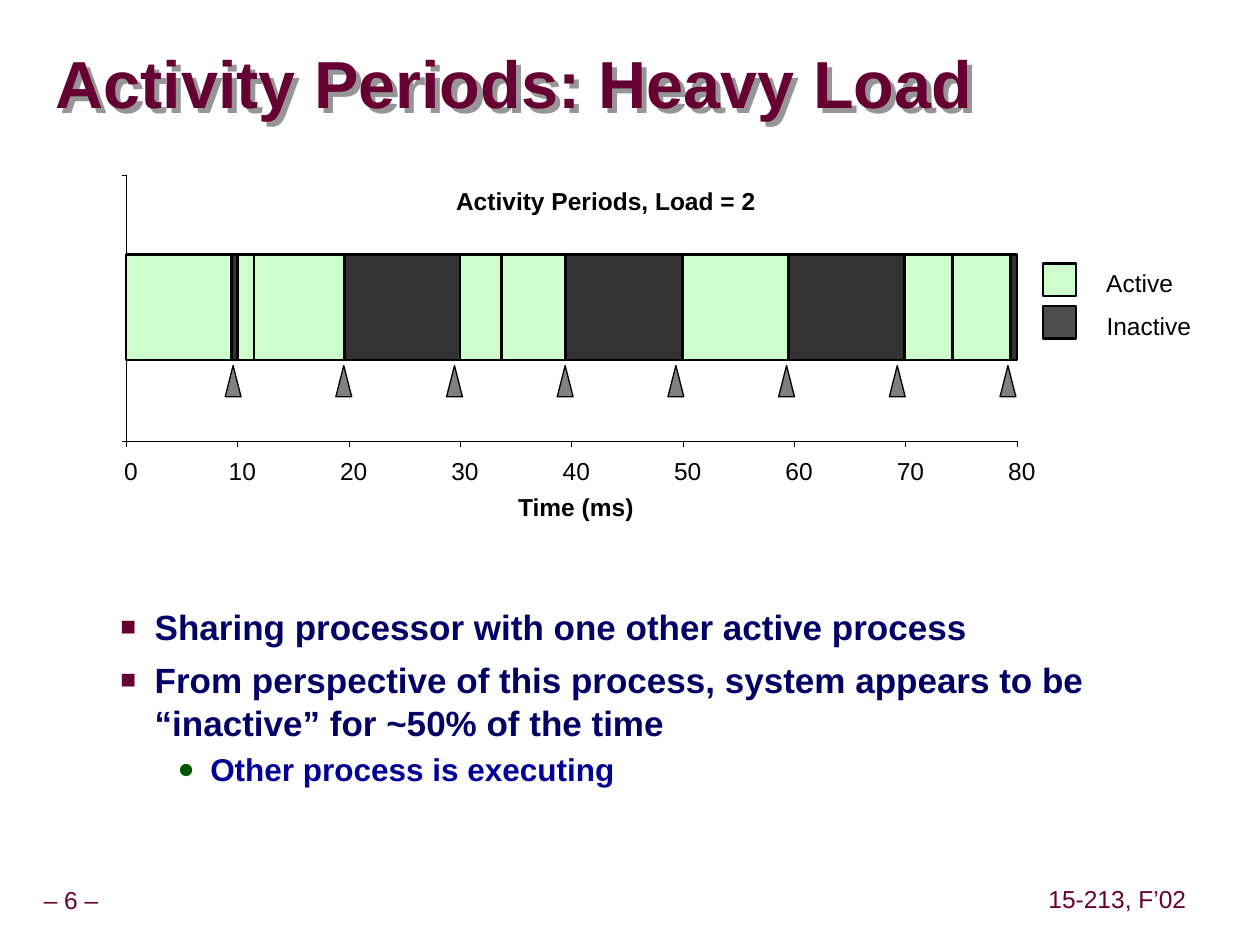
from lxml import etree
from pptx import Presentation
from pptx.dml.color import RGBColor
from pptx.enum.shapes import MSO_CONNECTOR as Connector, MSO_SHAPE as Shape
from pptx.enum.text import MSO_ANCHOR as Anchor, MSO_AUTO_SIZE as AutoSize, PP_ALIGN as Align
from pptx.oxml.ns import qn
from pptx.util import Cm, Pt

BLACK, MAROON = "000000", "660033"
ACTIVE, INACTIVE = "CCFFCC", "333333"
SPAN_MS = 80
# End of each period in ms, and its fill
PERIODS = [(9.5, ACTIVE), (10, INACTIVE), (11.5, ACTIVE), (19.6, ACTIVE),
           (30, INACTIVE), (33.7, ACTIVE), (39.5, ACTIVE), (50, INACTIVE),
           (59.5, ACTIVE), (69.9, INACTIVE), (74.2, ACTIVE), (79.4, ACTIVE),
           (80, INACTIVE)]
FIRST_INTERRUPT, INTERRUPT_GAP, INTERRUPTS = 9.62, 9.94, 8
BULLET_STYLES = {
    1: dict(symbol="■", symbol_color=MAROON, percent=75, margin=2.06, hang=0.69,
            para=dict(space_before=Pt(6.2), line_spacing=1.01),
            font=dict(size=20, color="000066", bold=True)),
    2: dict(symbol="●", symbol_color="005400", percent=90, margin=3.18, hang=0.66,
            para=dict(space_before=Pt(2.2), line_spacing=1.07),
            font=dict(size=18, color="000099", bold=True)),
}


def rgb(value):
    return RGBColor.from_string(value)


def set_all(target, values):
    for name, value in values.items():
        setattr(target, name, value)


def style_font(font, size=14, color=BLACK, bold=False):
    set_all(font, dict(name="Arial", size=Pt(size), bold=bold))
    font.color.rgb = rgb(color)


def set_frame(frame, inset=(0, 0), anchor=Anchor.TOP, wrap=False):
    across, down = map(Cm, inset)
    set_all(frame, dict(margin_left=across, margin_right=across, margin_top=down,
                        margin_bottom=down, vertical_anchor=anchor, word_wrap=wrap))


def add_label(shapes, text, left, top, width, height=0.53, inset=(0, 0),
              anchor=Anchor.TOP, **font):
    box = shapes.add_textbox(Cm(left), Cm(top), Cm(width), Cm(height))
    set_frame(box.text_frame, inset, anchor)
    box.text_frame.auto_size = AutoSize.SHAPE_TO_FIT_TEXT
    para = box.text_frame.paragraphs[0]
    set_all(para, dict(text=text, alignment=Align.CENTER, line_spacing=0.9))
    style_font(para.font, **font)


def paint(shape, fill, weight):
    shape.shadow.inherit = False
    shape.fill.solid()
    shape.fill.fore_color.rgb = rgb(fill)
    shape.line.color.rgb = rgb(BLACK)
    shape.line.width = Pt(weight)


def add_block(shapes, left, top, width, height, fill):
    block = shapes.add_shape(Shape.RECTANGLE, Cm(left), Cm(top), Cm(width), Cm(height))
    paint(block, fill, 1.5)


def add_hairline(shapes, *ends):
    line = shapes.add_connector(Connector.STRAIGHT, *map(Cm, ends))
    line.line.color.rgb = rgb(BLACK)
    line.line.width = Pt(0.1)
    etree.SubElement(line._element.spPr, qn("a:effectLst"))


def add_marker(shapes, center, top, width=0.32, height=0.63):
    builder = shapes.build_freeform(Cm(center), Cm(top))
    bottom = Cm(top + height)
    builder.add_line_segments([(Cm(center - width / 2), bottom),
                               (Cm(center + width / 2), bottom)], close=True)
    paint(builder.convert_to_shape(), "808080", 0.75)


def add_title(page, text, left, top, width, height):
    title = page.shapes.title
    set_all(title, dict(left=Cm(left), top=Cm(top), width=Cm(width), height=Cm(height)))
    set_frame(title.text_frame, anchor=Anchor.MIDDLE, wrap=True)
    para = title.text_frame.paragraphs[0]
    set_all(para, dict(text=text, alignment=Align.LEFT, line_spacing=0.87))
    style_font(para.font, 38, MAROON, True)
    # With no fill, the shadow of the shape falls from its letters
    title.fill.background()
    effects = etree.SubElement(title._element.spPr, qn("a:effectLst"))
    shadow = etree.SubElement(effects, qn("a:outerShdw"), dist=str(Cm(0.15)),
                              dir="2700000", algn="ctr", rotWithShape="0")
    etree.SubElement(shadow, qn("a:srgbClr"), val="969696")


def add_timeline(page, left, top, width, height):
    """Draw the axes, activity periods, interrupt markers and their labels."""
    shapes = page.shapes.add_group_shape().shapes
    bottom, tick = top + height, 0.13

    def at(ms):
        return left + width * ms / SPAN_MS

    start = 0
    for end, fill in PERIODS:
        add_block(shapes, at(start), top + 1.6, at(end) - at(start), 2.13, fill)
        start = end

    add_hairline(shapes, left, bottom, left + width, bottom)
    add_hairline(shapes, left, top, left, bottom)
    for y in (top, bottom):
        add_hairline(shapes, left - 0.08, y, left, y)
    for ms in range(0, SPAN_MS + 1, 10):
        add_hairline(shapes, at(ms), bottom + tick, at(ms), bottom)
        add_label(shapes, str(ms), at(ms) - 0.18, bottom + 0.38, 0.56)

    for index in range(INTERRUPTS):
        add_marker(shapes, at(FIRST_INTERRUPT + index * INTERRUPT_GAP), top + 3.84)

    add_label(shapes, "Activity Periods, Load = 2", left + 6.65, top + 0.28, 6.05, bold=True)
    add_label(shapes, "Time (ms)", left + 7.9, bottom + 1.09, 2.34, bold=True)


def add_legend(page, left, top):
    shapes = page.shapes.add_group_shape().shapes
    entries = [("Active", ACTIVE, 1.39), ("Inactive", "4D4D4D", 1.76)]
    for row, (text, fill, width) in enumerate(entries):
        y = top + row * 0.86
        add_block(shapes, left, y, 0.66, 0.66, fill)
        add_label(shapes, text, left + 1.25, y + 0.16, width)


def add_bullet(para, symbol, symbol_color, percent, margin, hang):
    props = para._p.get_or_add_pPr()
    props.set("marL", str(Cm(margin)))
    props.set("indent", str(-Cm(hang)))
    color = etree.SubElement(props, qn("a:buClr"))
    etree.SubElement(color, qn("a:srgbClr"), val=symbol_color)
    etree.SubElement(props, qn("a:buSzPct"), val=str(percent * 1000))
    etree.SubElement(props, qn("a:buFont"), typeface="Arial")
    etree.SubElement(props, qn("a:buChar"), char=symbol)


def add_points(page, points, left, top, width, height):
    box = page.shapes.add_textbox(Cm(left), Cm(top), Cm(width), Cm(height))
    frame = box.text_frame
    set_frame(frame, (0.25, 0.13), wrap=True)
    for index, (level, text) in enumerate(points):
        para = frame.add_paragraph() if index else frame.paragraphs[0]
        style = dict(BULLET_STYLES[level])
        spacing, font = style.pop("para"), style.pop("font")
        add_bullet(para, **style)
        set_all(para, dict(spacing, text=text, level=level))
        if index == 0:
            para.space_before = Pt(0)
        style_font(para.font, **font)


def add_footer(page, top):
    look = dict(height=0.79, inset=(0.13, 0.13), anchor=Anchor.MIDDLE, color=MAROON)
    add_label(page.shapes, "– 6 –", -0.23, top + 0.02, 3.33, **look)
    add_label(page.shapes, "15-213, F’02", 21, top, 3.05, **look)


def main():
    deck = Presentation()
    deck.slide_width, deck.slide_height = Cm(25.4), Cm(19.05)
    page = deck.slides.add_slide(deck.slide_layouts[5])
    add_title(page, "Activity Periods: Heavy Load", 1.12, 0.69, 24.2, 2.16)
    add_timeline(page, 2.54, 3.53, 17.96, 5.36)
    add_legend(page, 21.03, 5.31)
    add_points(page, [
        (1, "Sharing processor with one other active process"),
        (1, "From perspective of this process, system appears to be "
            "“inactive” for ~50% of the time"),
        (2, "Other process is executing"),
    ], 0.81, 12.07, 23.09, 5.84)
    add_footer(page, 17.76)
    deck.save("out.pptx")


if __name__ == "__main__":
    main()
